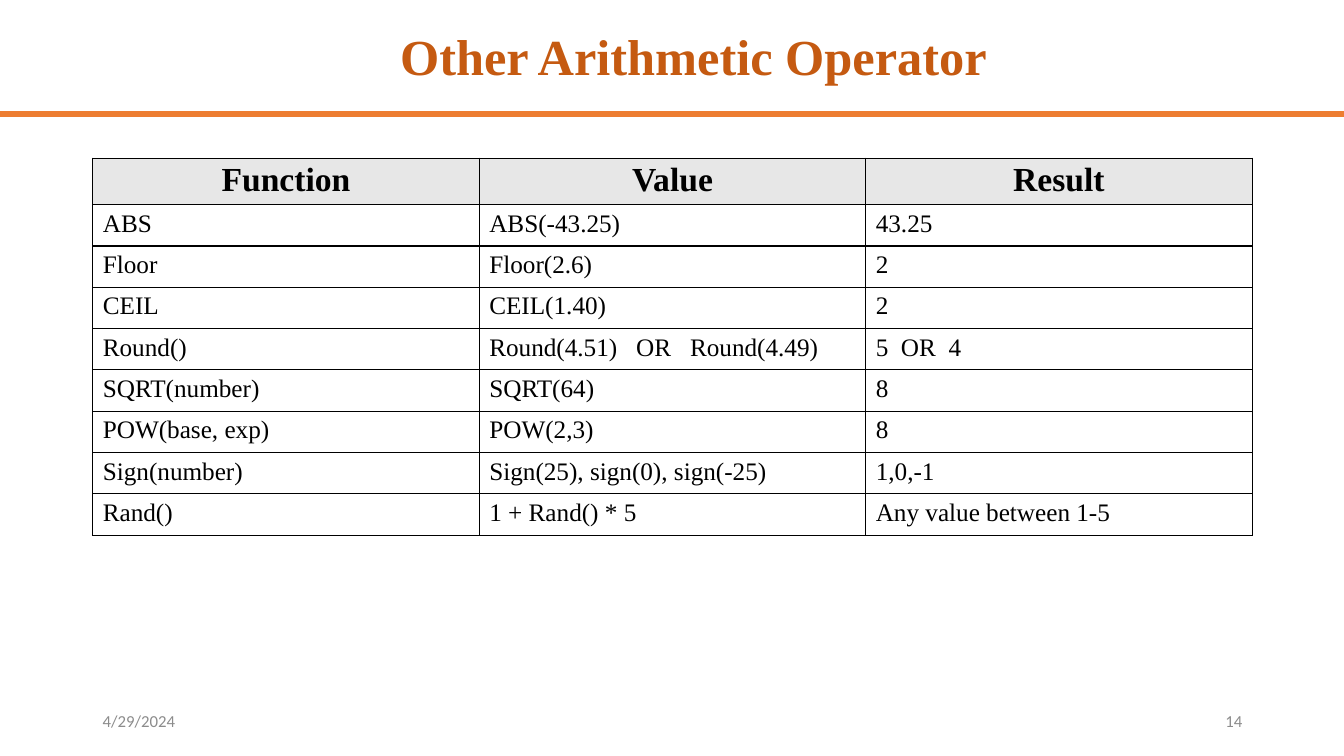
from dataclasses import dataclass

from lxml.etree import SubElement
from pptx import Presentation
from pptx.dml.color import RGBColor
from pptx.enum.shapes import MSO_CONNECTOR
from pptx.enum.text import MSO_ANCHOR, PP_ALIGN
from pptx.oxml.ns import qn
from pptx.slide import Slide
from pptx.table import _Cell as Cell
from pptx.text.text import TextFrame
from pptx.util import Inches, Pt

SERIF = "Times New Roman"
HEADERS = ("Function", "Value", "Result")
FUNCTIONS = (
    ("ABS", "ABS(-43.25)", "43.25"),
    ("Floor", "Floor(2.6)", "2"),
    ("CEIL", "CEIL(1.40)", "2"),
    ("Round()", "Round(4.51)   OR   Round(4.49)", "5  OR  4"),
    ("SQRT(number)", "SQRT(64)", "8"),
    ("POW(base, exp)", "POW(2,3)", "8"),
    ("Sign(number)", "Sign(25), sign(0), sign(-25)", "1,0,-1"),
    ("Rand()", "1 + Rand() * 5", "Any value between 1-5"),
)
TABLE_LEFT, TABLE_TOP, TABLE_WIDTH = 0.92, 1.57, 11.5
HEADER_HEIGHT, ROW_HEIGHT = 0.46, 0.41


@dataclass(frozen=True)
class TextStyle:
    size: float
    color: str
    font: str = SERIF
    bold: bool = False
    align: PP_ALIGN = PP_ALIGN.LEFT


@dataclass(frozen=True)
class FooterItem:
    text: str
    left: float
    align: PP_ALIGN


TITLE_STYLE = TextStyle(36, "C55A11", bold=True, align=PP_ALIGN.CENTER)
HEADER_STYLE = TextStyle(24, "000000", bold=True, align=PP_ALIGN.CENTER)
CELL_STYLE = TextStyle(18, "000000")
FOOTER_ITEMS = (
    FooterItem("4/29/2024", 0.92, PP_ALIGN.LEFT),
    FooterItem("14", 9.42, PP_ALIGN.RIGHT),
)


def color(value: str) -> RGBColor:
    return RGBColor.from_string(value)


def write_text(text_frame: TextFrame, text: str, style: TextStyle) -> None:
    text_frame.text = text
    text_frame.word_wrap = True
    paragraph = text_frame.paragraphs[0]
    paragraph.alignment = style.align
    font = paragraph.runs[0].font
    font.name = style.font
    font.size = Pt(style.size)
    font.bold = style.bold
    font.color.rgb = color(style.color)


def add_title(slide: Slide) -> None:
    title = slide.shapes.title
    title.left, title.top = Inches(1.13), Inches(0.15)
    title.width, title.height = Inches(11.5), Inches(0.88)
    write_text(title.text_frame, "Other Arithmetic Operator", TITLE_STYLE)
    title.text_frame.vertical_anchor = MSO_ANCHOR.MIDDLE
    title.text_frame.paragraphs[0].line_spacing = 0.9


def add_title_rule(slide: Slide) -> None:
    rule = slide.shapes.add_connector(
        MSO_CONNECTOR.STRAIGHT, 0, Inches(1.13), Inches(13.33), Inches(1.13)
    )
    rule.line.color.rgb = color("ED7D31")
    rule.line.width = Pt(4.5)
    SubElement(rule._element.spPr, qn("a:effectLst"))


def add_footer_item(slide: Slide, item: FooterItem) -> None:
    box = slide.shapes.add_textbox(
        Inches(item.left), Inches(6.95), Inches(3), Inches(0.4)
    )
    box.text_frame.vertical_anchor = MSO_ANCHOR.MIDDLE
    style = TextStyle(12, "8C8C8C", font="Calibri", align=item.align)
    write_text(box.text_frame, item.text, style)


def set_borders(cell: Cell) -> None:
    properties = cell._tc.get_or_add_tcPr()
    for position, side in enumerate(("a:lnL", "a:lnR", "a:lnT", "a:lnB")):
        border = SubElement(properties, qn(side), w=str(Pt(1)))
        fill = SubElement(border, qn("a:solidFill"))
        SubElement(fill, qn("a:srgbClr"), val="000000")
        properties.insert(position, border)


def format_cell(cell: Cell, text: str, is_header: bool) -> None:
    write_text(cell.text_frame, text, HEADER_STYLE if is_header else CELL_STYLE)
    if is_header:
        cell.margin_top = cell.margin_bottom = Inches(0.03)
        cell.fill.solid()
        cell.fill.fore_color.rgb = color("E7E7E7")
    else:
        cell.fill.background()
    set_borders(cell)


def add_function_table(slide: Slide) -> None:
    rows = (HEADERS, *FUNCTIONS)
    height = HEADER_HEIGHT + ROW_HEIGHT * len(FUNCTIONS)
    table = slide.shapes.add_table(
        len(rows), len(HEADERS),
        Inches(TABLE_LEFT), Inches(TABLE_TOP), Inches(TABLE_WIDTH), Inches(height),
    ).table
    table.first_row = False
    table.horz_banding = False
    for row_index, texts in enumerate(rows):
        is_header = row_index == 0
        table.rows[row_index].height = Inches(HEADER_HEIGHT if is_header else ROW_HEIGHT)
        for column_index, text in enumerate(texts):
            format_cell(table.cell(row_index, column_index), text, is_header)


def main() -> None:
    presentation = Presentation()
    presentation.slide_width = Inches(13.33)
    presentation.slide_height = Inches(7.5)
    slide = presentation.slides.add_slide(presentation.slide_layouts[5])
    add_title_rule(slide)
    for item in FOOTER_ITEMS:
        add_footer_item(slide, item)
    add_title(slide)
    add_function_table(slide)
    presentation.save("out.pptx")


if __name__ == "__main__":
    main()
